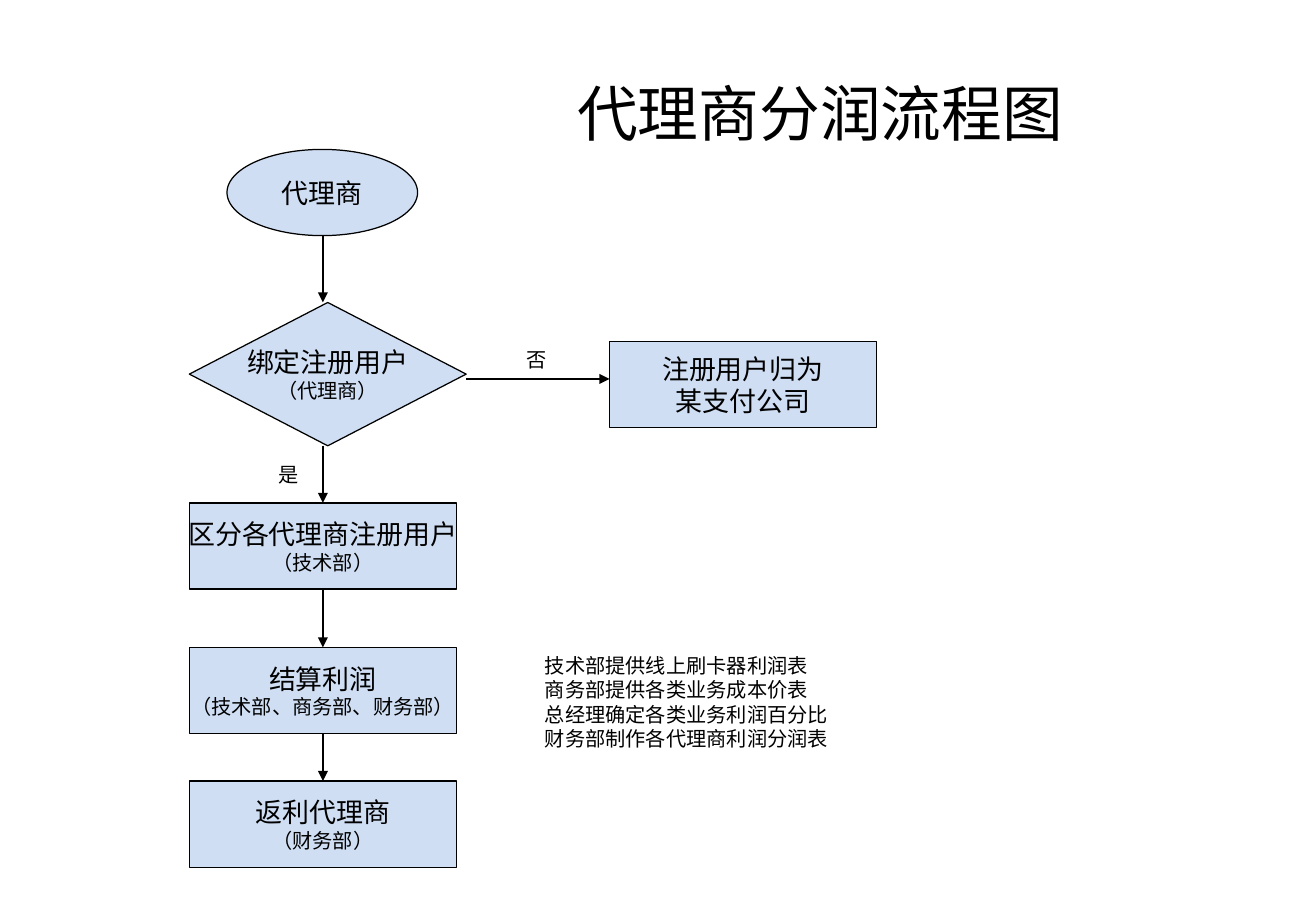
import pptx
import pptx.dml.color
import pptx.enum.dml
import pptx.enum.shapes
import pptx.enum.text
import pptx.oxml
import pptx.oxml.ns
import pptx.util

PX = 9144  # 100 px to the inch
FONT = "Arial"
BLACK = "000000"
PALE_BLUE = "CFDEF3"
SPINE = 266  # x of the downward arrows
STEP_LEFT, STEP_WIDTH, STEP_HEIGHT = 156, 220, 71
SHAPES = pptx.enum.shapes.MSO_SHAPE
CENTER = pptx.enum.text.PP_ALIGN.CENTER
LEFT = pptx.enum.text.PP_ALIGN.LEFT
MIDDLE = pptx.enum.text.MSO_ANCHOR.MIDDLE
TOP = pptx.enum.text.MSO_ANCHOR.TOP


def px(*lengths):
    return [pptx.util.Emu(length * PX) for length in lengths]


def color(value):
    return pptx.dml.color.RGBColor.from_string(value)


def write(box, lines, align, anchor, wrap):
    """Fill a box with one paragraph per (text, size) pair."""
    frame = box.text_frame
    frame.word_wrap = wrap
    frame.auto_size = pptx.enum.text.MSO_AUTO_SIZE.NONE
    frame.vertical_anchor = anchor
    for index, (text, size) in enumerate(lines):
        para = frame.paragraphs[0] if index == 0 else frame.add_paragraph()
        para.alignment = align
        span = para.add_run()
        span.text = text
        span.font.name = FONT
        span.font.size = pptx.util.Pt(size)
        span.font.color.rgb = color(BLACK)


def outline(line):
    line.color.rgb = color(BLACK)
    line.width = pptx.util.Pt(0.75)


def add_title(page, text, left, top, width, height, indent):
    title = page.shapes.title
    title.left, title.top, title.width, title.height = px(left, top, width, height)
    write(title, [(text, 36)], CENTER, MIDDLE, True)
    properties = title.text_frame.paragraphs[0]._p.get_or_add_pPr()
    properties.set("marL", str(indent * PX))


def add_node(page, kind, left, top, width, height, lines):
    node = page.shapes.add_shape(kind, *px(left, top, width, height))
    node.shadow.inherit = False
    node.fill.solid()
    node.fill.fore_color.rgb = color(PALE_BLUE)
    outline(node.line)
    write(node, lines, CENTER, MIDDLE, False)


def add_note(page, left, top, width, height, texts):
    note = page.shapes.add_textbox(*px(left, top, width, height))
    write(note, [(text, 12) for text in texts], LEFT, TOP, True)


def add_arrow(page, start_x, start_y, end_x, end_y):
    arrow = page.shapes.add_connector(
        pptx.enum.shapes.MSO_CONNECTOR.STRAIGHT, *px(start_x, start_y, end_x, end_y))
    outline(arrow.line)
    head = pptx.oxml.parse_xml(
        f'<a:tailEnd {pptx.oxml.ns.nsdecls("a")} type="triangle"/>')
    arrow.line._get_or_add_ln().append(head)
    # An empty effect list turns the theme shadow off
    arrow._element.spPr.append(
        pptx.oxml.parse_xml(f'<a:effectLst {pptx.oxml.ns.nsdecls("a")}/>'))


def main():
    deck = pptx.Presentation()
    deck.slide_width, deck.slide_height = px(1084, 750)
    page = deck.slides.add_slide(deck.slide_layouts[5])
    add_title(page, "代理商分润流程图", 54, 30, 975, 125, indent=268)

    # Start and decision
    add_node(page, SHAPES.OVAL, 187, 123, 157, STEP_HEIGHT, [("代理商", 16)])
    add_node(page, SHAPES.DIAMOND, STEP_LEFT, 249, 228, 118,
             [("绑定注册用户", 16), ("（代理商）", 12)])

    # Steps of the "yes" branch
    steps = [
        (414, "区分各代理商注册用户", "（技术部）"),
        (533, "结算利润", "（技术部、商务部、财务部）"),
        (643, "返利代理商", "（财务部）"),
    ]
    for top, step, department in steps:
        add_node(page, SHAPES.RECTANGLE, STEP_LEFT, top, STEP_WIDTH, STEP_HEIGHT,
                 [(step, 16), (department, 12)])

    # Result of the "no" branch
    add_node(page, SHAPES.RECTANGLE, 502, 281, STEP_WIDTH, STEP_HEIGHT,
             [("注册用户归为", 16), ("某支付公司", 16)])

    # Arrows
    for start, end in [(194, 249), (367, 414), (485, 533), (604, 643)]:
        add_arrow(page, SPINE, start, SPINE, end)
    add_arrow(page, 384, 312, 502, 312)

    # Branch labels and department duties
    add_note(page, 424, 281, 37, 30, ["否"])
    add_note(page, 220, 376, 40, 30, ["是"])
    add_note(page, 439, 533, 321, 90, [
        "技术部提供线上刷卡器利润表",
        "商务部提供各类业务成本价表",
        "总经理确定各类业务利润百分比",
        "财务部制作各代理商利润分润表",
    ])

    deck.save("out.pptx")


if __name__ == "__main__":
    main()
